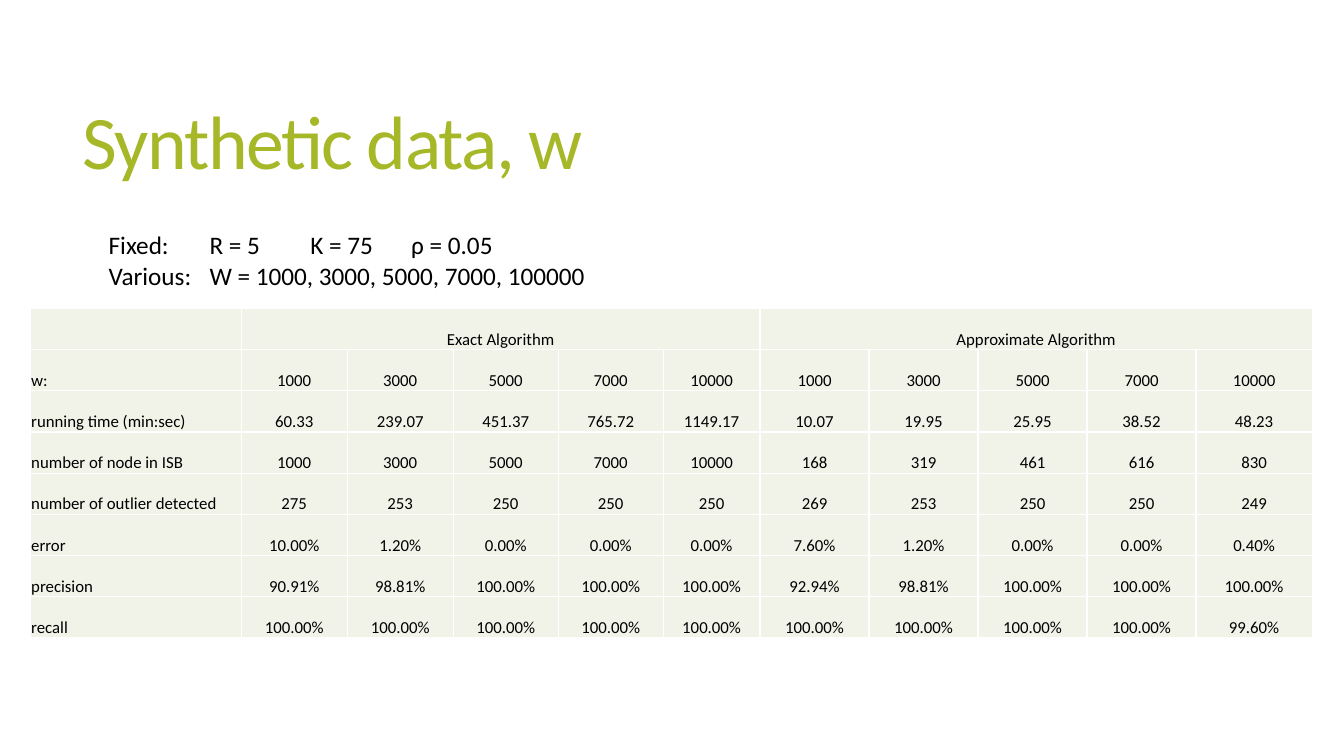
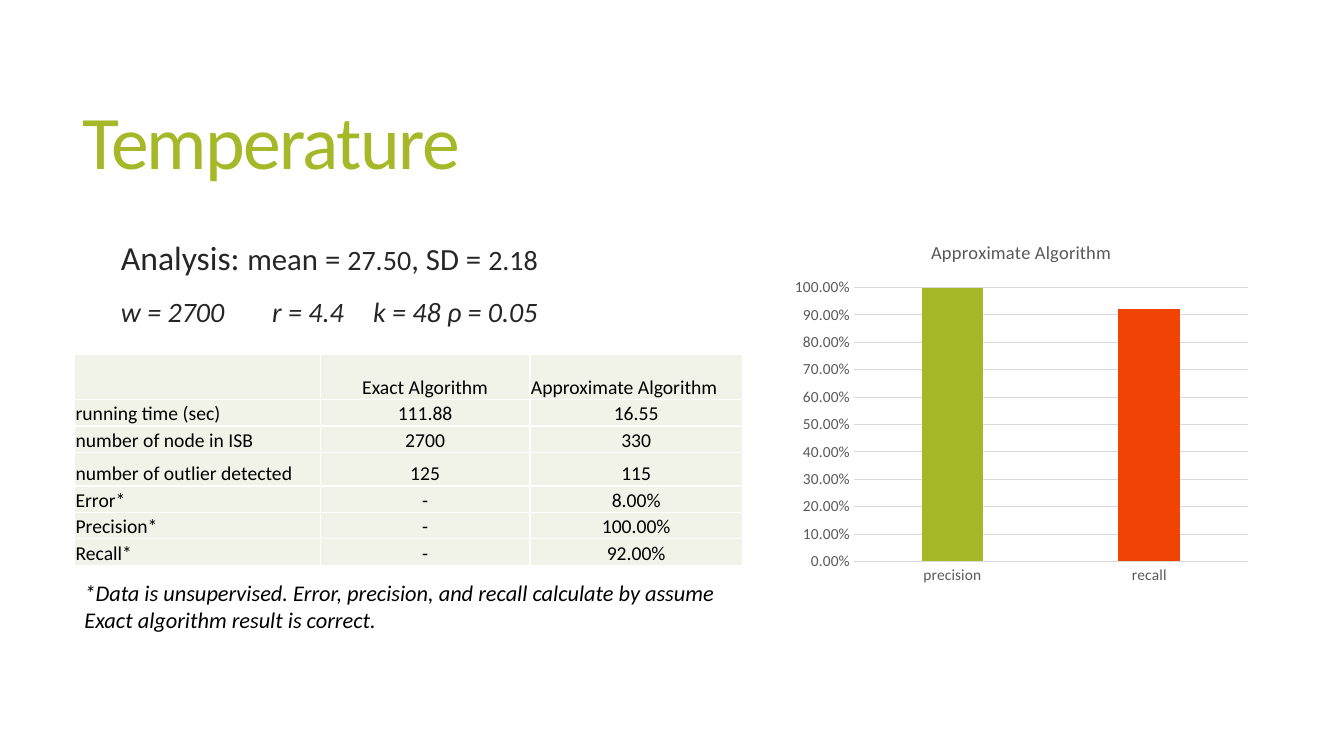
from dataclasses import dataclass

from lxml import etree
from pptx import Presentation
from pptx import util as u
from pptx.chart import data as cd
from pptx.dml.color import RGBColor
from pptx.enum import chart as ch, text as tx
from pptx.oxml import ns


@dataclass(frozen=True)
class Theme:
    wide: float = 13.33
    high: float = 7.5
    font: str = "Calibri"
    green: str = "A6B727"
    red: str = "F04304"
    ink: str = "000000"
    soft: str = "262626"
    grey: str = "595959"
    rule: str = "D9D9D9"
    cell: str = "F1F3E8"
    white: str = "FFFFFF"
    head: int = 54
    lead: int = 24
    sub: int = 22
    body: int = 20
    text: int = 18
    note: int = 16
    mid: int = 14
    small: int = 12
    axis: int = 11
    label: float = 13.2


T = Theme()
LEFT, MID = tx.PP_ALIGN.LEFT, tx.PP_ALIGN.CENTER


def rgb(code):
    return RGBColor.from_string(code)


def share(x, y, w, h):
    sides = (T.wide, T.high, T.wide, T.high)
    return [u.Inches(side * part / 100) for side, part in zip(sides, (x, y, w, h))]


def place(shape, *area):
    shape.left, shape.top, shape.width, shape.height = share(*area)


def style(font, size, color, ital=None):
    font.name, font.size, font.italic = T.font, u.Pt(size), ital
    font.color.rgb = rgb(color)


def node(base, tag, **attrs):
    return etree.SubElement(base, ns.qn(tag), attrs)


def put(frame, lines, size=T.text, color=T.ink, ital=None, align=LEFT,
        line=None, gap=None, tabs=(), spc=None):
    frame.word_wrap = True
    for i, parts in enumerate(lines):
        para = frame.paragraphs[0] if i == 0 else frame.add_paragraph()
        para.alignment, para.line_spacing = align, line
        if gap is not None:
            para.space_before = u.Pt(gap)
        props = para._p.get_or_add_pPr()
        props.set("marL", "0")
        props.set("indent", "0")
        node(props, "a:buNone")
        if tabs:
            stops = node(props, "a:tabLst")
            for stop in tabs:
                node(stops, "a:tab", pos=str(u.Inches(stop)), algn="l")
        for word, pts in [(parts, size)] if isinstance(parts, str) else parts:
            run = para.add_run()
            run.text = word
            style(run.font, pts, color, ital)
            if spc:
                run._r.get_or_add_rPr().set("spc", str(spc))


def page(deck, kind, title):
    slide = deck.slides.add_slide(deck.slide_layouts[kind])
    head = slide.shapes.title
    place(head, 5.4, 7.33, 88.4, 24.13)
    frame = head.text_frame
    frame.auto_size = tx.MSO_AUTO_SIZE.NONE
    frame.vertical_anchor = tx.MSO_ANCHOR.MIDDLE
    put(frame, [title], T.head, T.green, line=0.85, spc=-120)
    return slide


def label(slide, area, lines, **form):
    put(slide.shapes.add_textbox(*share(*area)).text_frame, lines, **form)


def edge(cell):
    props = cell._tc.get_or_add_tcPr()
    for tag in ("a:lnL", "a:lnR", "a:lnT", "a:lnB"):
        fill = node(node(props, tag, w=str(u.Pt(1))), "a:solidFill")
        node(fill, "a:srgbClr", val=T.white)


def fit(tracks, side, total, parts):
    for track, part in zip(tracks, parts):
        setattr(track, side, int(total * part / sum(parts)))


def grid(slide, area, rows, cols, highs, size, spans=(), lefts=()):
    box = share(*area)
    table = slide.shapes.add_table(len(rows), len(cols), *box).table
    table.first_row = table.horz_banding = False
    fit(table.columns, "width", box[2], cols)
    fit(table.rows, "height", box[3], highs)
    for r, row in enumerate(rows):
        for c, word in enumerate(row):
            cell = table.cell(r, c)
            edge(cell)
            cell.fill.solid()
            cell.fill.fore_color.rgb = rgb(T.cell)
            cell.margin_left = cell.margin_right = cell.margin_top = u.Inches(0.01)
            cell.margin_bottom = 0
            cell.vertical_anchor = tx.MSO_ANCHOR.BOTTOM
            if word:
                side = LEFT if c == 0 or (r, c) in lefts else MID
                put(cell.text_frame, [word], size, align=side)
    for start, end in spans:
        table.cell(0, start).merge(table.cell(0, end))


def bars(slide, area, name, cats, vals, hues):
    data = cd.CategoryChartData(number_format="0.00%")
    data.categories = cats
    data.add_series(name, vals)
    kind = ch.XL_CHART_TYPE.COLUMN_CLUSTERED
    chart = slide.shapes.add_chart(kind, *share(*area), data).chart
    style(chart.font, T.axis, T.ink)
    chart.has_legend = False
    chart.has_title = True
    put(chart.chart_title.text_frame, [name], T.label, T.grey, align=MID)
    for run in chart.chart_title.text_frame.paragraphs[0].runs:
        run.font.bold = False
    for axis in (chart.category_axis, chart.value_axis):
        axis.major_tick_mark = axis.minor_tick_mark = ch.XL_TICK_MARK.NONE
        style(axis.tick_labels.font, T.axis, T.grey)
    val = chart.value_axis
    val.minimum_scale, val.maximum_scale, val.major_unit = 0, 1, 0.1
    val.format.line.fill.background()
    val.tick_labels.number_format = "0.00%"
    val.tick_labels.number_format_is_linked = False
    val.has_major_gridlines = True
    for line in (val.major_gridlines.format.line, chart.category_axis.format.line):
        line.color.rgb, line.width = rgb(T.rule), u.Pt(0.75)
    plot = chart.plots[0]
    plot.gap_width, plot.overlap, plot.vary_by_categories = 219, -27, False
    series = plot.series[0]
    series.format.fill.solid()
    series.format.fill.fore_color.rgb = rgb(hues[0])
    for i, hue in enumerate(hues[1:], 1):
        fill = series.points[i].format.fill
        fill.solid()
        fill.fore_color.rgb = rgb(hue)


def synth(deck):
    slide = page(deck, 5, "Synthetic data, w")
    sizes = ["1000", "3000", "5000", "7000", "10000"]
    full = "100.00%"
    rows = [
        ["", "Exact Algorithm", *[""] * 4, "Approximate Algorithm", *[""] * 4],
        ["w:", *sizes * 2],
        ["running time (min:sec)", "60.33", "239.07", "451.37", "765.72", "1149.17",
         "10.07", "19.95", "25.95", "38.52", "48.23"],
        ["number of node in ISB", *sizes, "168", "319", "461", "616", "830"],
        ["number of outlier detected", "275", "253", "250", "250", "250",
         "269", "253", "250", "250", "249"],
        ["error", "10.00%", "1.20%", "0.00%", "0.00%", "0.00%",
         "7.60%", "1.20%", "0.00%", "0.00%", "0.40%"],
        ["precision", "90.91%", "98.81%", *[full] * 3, "92.94%", "98.81%", *[full] * 3],
        ["recall", *[full] * 9, "99.60%"],
    ]
    cols = [2.09, 1.05, 1.05, 1.04, 1.04, 0.96, *[1.08] * 4, 1.15]
    grid(slide, (2.25, 40.8, 95.4, 43.6), rows, cols, [1] * len(rows), T.small,
         spans=[(1, 5), (6, 10)])
    label(slide, (7.35, 29.73, 84.6, 9.47),
          ["Fixed:\tR = 5\tK = 75\tρ = 0.05",
           "Various:\tW = 1000, 3000, 5000, 7000, 100000"], tabs=(1, 1.67, 2.4))


def temp(deck):
    slide = page(deck, 1, "Temperature")
    rows = [
        ["", "Exact Algorithm", "Approximate Algorithm"],
        ["running time (sec)", "111.88", "16.55"],
        ["number of node in ISB", "2700", "330"],
        ["number of outlier detected", "125", "115"],
        ["Error*", "-", "8.00%"],
        ["Precision*", "-", "100.00%"],
        ["Recall*", "-", "92.00%"],
    ]
    grid(slide, (5.55, 46.93, 49.7, 27.87), rows, [2.44, 2.08, 2.11],
         [0.44, 0.26, 0.26, 0.33, 0.26, 0.26, 0.26], T.mid, lefts=[(0, 2)])
    body = slide.placeholders[1]
    place(body, 8.25, 31.47, 85.4, 53.07)
    frame = body.text_frame
    frame.auto_size = tx.MSO_AUTO_SIZE.NONE
    put(frame, [[("Analysis: ", T.lead), ("mean = ", T.sub), ("27.50", T.body),
                 (", SD = ", T.sub), ("2.18", T.body)],
                "w = 2700\tr = 4.4\tk = 48 ρ = 0.05"],
        T.body, T.soft, line=0.85, gap=6, tabs=(1.15, 1.98))
    last = frame.paragraphs[1]
    last.space_before = u.Pt(16)
    last.runs[0].font.italic = True
    bars(slide, (58.44, 29.6, 35.1, 48.67), "Approximate Algorithm",
         ["precision", "recall"], [1, 0.92], [T.green, T.red])
    label(slide, (5.55, 76, 49.7, 8.53),
          ["*Data is unsupervised. Error, precision, and recall calculate by assume "
           "Exact algorithm result is correct."], size=T.note, ital=True)


def main():
    deck = Presentation()
    deck.slide_width, deck.slide_height = u.Inches(T.wide), u.Inches(T.high)
    synth(deck)
    temp(deck)
    deck.save("out.pptx")


if __name__ == "__main__":
    main()
